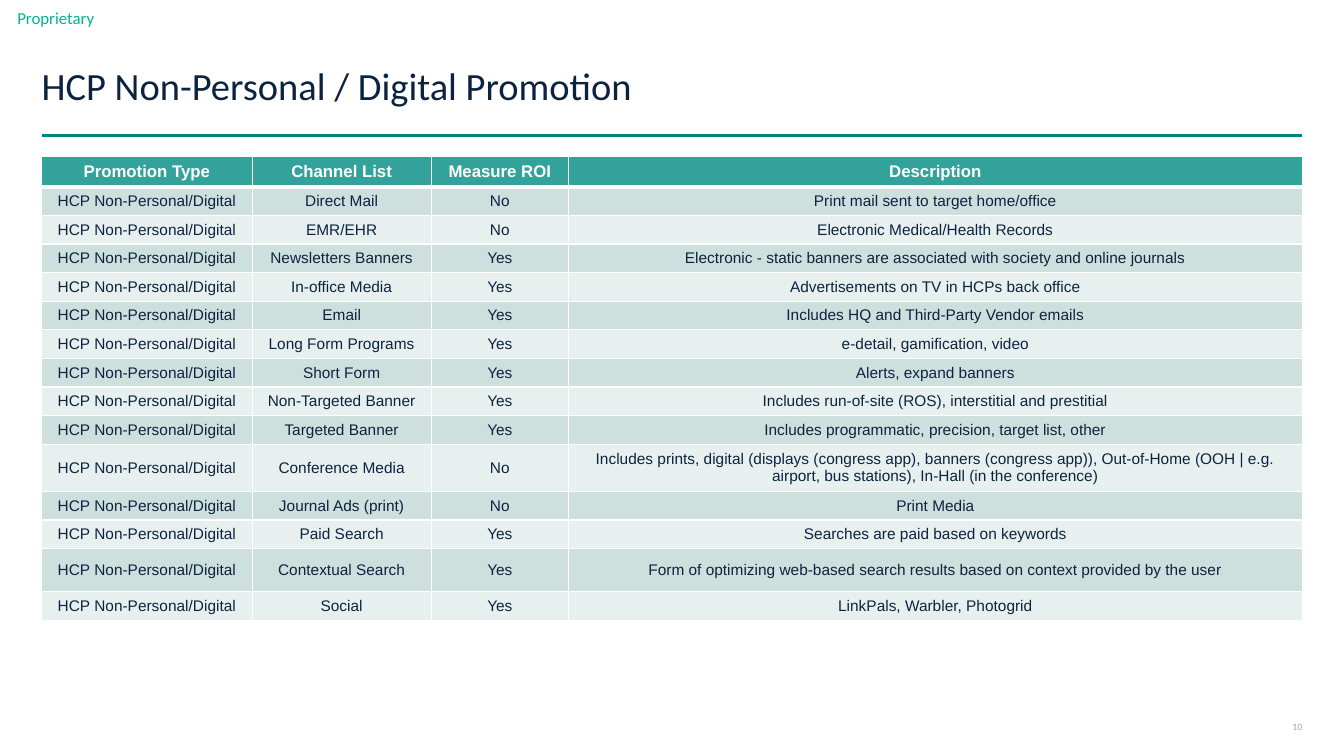
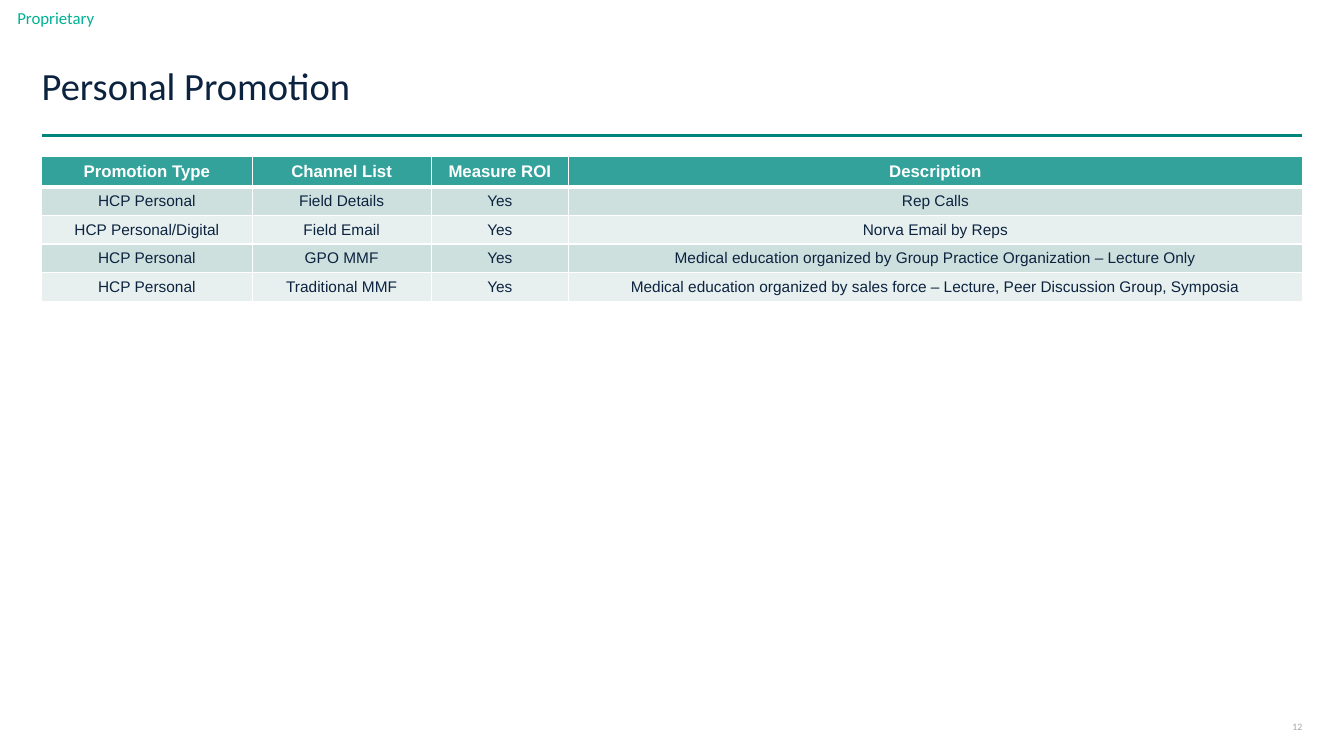
"""Builds two table slides on promotion channels."""
import pptx
import pptx.dml.color
import pptx.enum.shapes
import pptx.enum.text
import pptx.oxml.ns
import pptx.util
from lxml import etree

INK = {
    "navy": "0C2340", "teal": "00857C", "mint": "00B294", "gray": "9EA7B3",
    "head": "32A29B", "odd": "CEE0DE", "even": "E8F0EF", "white": "FFFFFF",
}
WIDE, HIGH = 13.33, 7.5
LEFT, SPAN = 3.1, 93.8
COLS = [16.7, 14.2, 10.9, 58.2]
TOP, RULE = 20.7, 17.9
TITLE, ROW, TALL = 3.8, 3.6, 5.7
ALIGN = pptx.enum.text.PP_ALIGN
MID = pptx.enum.text.MSO_ANCHOR.MIDDLE

HEADS = ["Promotion Type", "Channel List", "Measure ROI", "Description"]
DIGITAL = [
    ("Direct Mail", "No", "Print mail sent to target home/office"),
    ("EMR/EHR", "No", "Electronic Medical/Health Records"),
    ("Newsletters Banners", "Yes",
     "Electronic - static banners are associated with society and online journals"),
    ("In-office Media", "Yes", "Advertisements on TV in HCPs back office"),
    ("Email", "Yes", "Includes HQ and Third-Party Vendor emails"),
    ("Long Form Programs", "Yes", "e-detail, gamification, video"),
    ("Short Form", "Yes", "Alerts, expand banners"),
    ("Non-Targeted Banner", "Yes",
     "Includes run-of-site (ROS), interstitial and prestitial"),
    ("Targeted Banner", "Yes",
     "Includes programmatic, precision, target list, other"),
    ("Conference Media", "No",
     "Includes prints, digital (displays (congress app), banners (congress app)), "
     "Out-of-Home (OOH | e.g. airport, bus stations), In-Hall (in the conference)"),
    ("Journal Ads (print)", "No", "Print Media"),
    ("Paid Search", "Yes", "Searches are paid based on keywords"),
    ("Contextual Search", "Yes",
     "Form of optimizing web-based search results based on context provided by the user"),
    ("Social", "Yes", "LinkPals, Warbler, Photogrid"),
]
FIELD = [
    ("HCP Personal", "Field Details", "Yes", "Rep Calls"),
    ("HCP Personal/Digital", "Field Email", "Yes", "Norva Email by Reps"),
    ("HCP Personal", "GPO MMF", "Yes",
     "Medical education organized by Group Practice Organization – Lecture Only"),
    ("HCP Personal", "Traditional MMF", "Yes",
     "Medical education organized by sales force – Lecture, Peer Discussion Group, Symposia"),
]


def tint(name):
    """Return a palette colour."""
    return pptx.dml.color.RGBColor.from_string(INK[name])


def across(share):
    """Turn a percentage of the slide width into a length."""
    return pptx.util.Inches(WIDE * share / 100)


def down(share):
    """Turn a percentage of the slide height into a length."""
    return pptx.util.Inches(HIGH * share / 100)


def write(frame, text, size, ink, face="Calibri", bold=False, align=ALIGN.LEFT):
    """Put one styled run into the first paragraph of a frame."""
    para = frame.paragraphs[0]
    para.alignment = align
    run = para.add_run()
    run.text = text
    font = run.font
    font.name, font.size, font.bold = face, pptx.util.Pt(size), bold
    font.color.rgb = tint(ink)
    return para


def label(slide, box, text, size, ink, align=ALIGN.LEFT):
    """Add a text box without insets, placed by slide percentages."""
    left, top, width, height = box
    frame = slide.shapes.add_textbox(
        across(left), down(top), across(width), down(height)).text_frame
    frame.word_wrap = True
    frame.vertical_anchor = MID
    frame.margin_left = frame.margin_right = 0
    frame.margin_top = frame.margin_bottom = 0
    return write(frame, text, size, ink, align=align)


def rule(slide):
    """Draw the line below the title."""
    line = slide.shapes.add_connector(
        pptx.enum.shapes.MSO_CONNECTOR.STRAIGHT,
        across(LEFT), down(RULE), across(LEFT + SPAN), down(RULE))
    line.line.color.rgb = tint("teal")
    line.line.width = pptx.util.Pt(2.5)
    etree.SubElement(line._element.spPr, pptx.oxml.ns.qn("a:effectLst"))


def edge(cell, upper, lower):
    """Give a cell white borders with the given top and bottom widths."""
    props = cell._tc.get_or_add_tcPr()
    sides = [("lnL", 1), ("lnR", 1), ("lnT", upper), ("lnB", lower)]
    for spot, (side, width) in enumerate(sides):
        line = etree.Element(pptx.oxml.ns.qn("a:" + side), w=str(pptx.util.Pt(width)))
        fill = etree.SubElement(line, pptx.oxml.ns.qn("a:solidFill"))
        etree.SubElement(fill, pptx.oxml.ns.qn("a:srgbClr"), val=INK["white"])
        props.insert(spot, line)


def paint(cell, text, index):
    """Fill, border and write one cell according to its row index."""
    head = index == 0
    cell.fill.solid()
    cell.fill.fore_color.rgb = tint("head" if head else "odd" if index % 2 else "even")
    cell.vertical_anchor = MID
    edge(cell, 3 if index == 1 else 1, 3 if head else 1)
    write(cell.text_frame, text, 12 if head else 11, "white" if head else "navy",
          "Arial", head, ALIGN.CENTER)


def grid(slide, rows, tall):
    """Add the channel table, with taller rows at the given indexes."""
    sizes = [TITLE] + [TALL if i in tall else ROW for i in range(1, len(rows) + 1)]
    table = slide.shapes.add_table(
        len(sizes), len(COLS), across(LEFT), down(TOP),
        across(SPAN), down(sum(sizes))).table
    for col, share in zip(table.columns, COLS):
        col.width = across(SPAN * share / 100)
    for index, (size, texts) in enumerate(zip(sizes, [HEADS, *rows])):
        table.rows[index].height = down(size)
        for cell, text in zip(table.rows[index].cells, texts):
            paint(cell, text, index)


def page(deck, title, number, rows, tall=()):
    """Add one slide with its shared parts and its table."""
    slide = deck.slides.add_slide(deck.slide_layouts[6])
    rule(slide)
    label(slide, (0, 0.2, 8.3, 4.3), "Proprietary", 12, "mint", ALIGN.CENTER)
    label(slide, (LEFT, 5.5, SPAN, 12.4), title, 27.5, "navy").line_spacing = 0.9
    label(slide, (95, 94.5, 1.9, 3.2), number, 7, "gray", ALIGN.RIGHT)
    grid(slide, rows, tall)


def main():
    """Build and save the deck."""
    deck = pptx.Presentation()
    deck.slide_width, deck.slide_height = across(100), down(100)
    digital = [("HCP Non-Personal/Digital", *row) for row in DIGITAL]
    page(deck, "HCP Non-Personal / Digital Promotion", "10", digital, (10, 13))
    page(deck, "Personal Promotion", "12", FIELD)
    deck.save("out.pptx")


if __name__ == "__main__":
    main()
